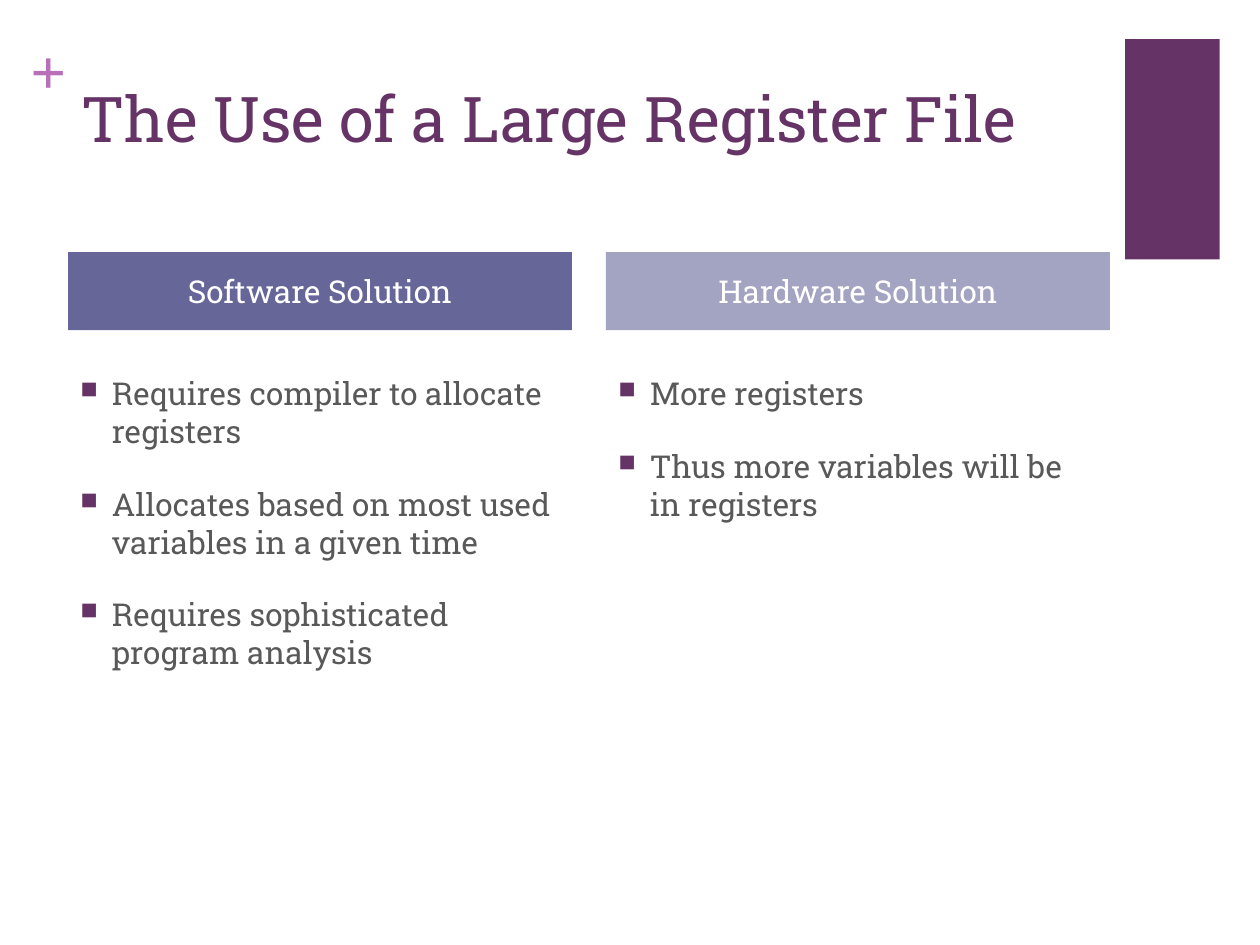
import pptx
import pptx.util
import pptx.dml.color
import pptx.enum.shapes
import pptx.enum.text
from dataclasses import dataclass
from lxml import etree

Inches = pptx.util.Inches
Pt = pptx.util.Pt
Align = pptx.enum.text.PP_ALIGN
Anchor = pptx.enum.text.MSO_ANCHOR


@dataclass(frozen=True)
class Theme:
    plum: str = "663366"
    orchid: str = "B870B8"
    indigo: str = "666699"
    lavender: str = "A3A3C2"
    grey: str = "595959"
    white: str = "FFFFFF"
    font: str = "Roboto Slab"
    plus_font: str = "Times New Roman"
    title_size: int = 36
    text_size: int = 18


THEME = Theme()


def color(value):
    return pptx.dml.color.RGBColor.from_string(value)


def style_text(para, size, fill, font=THEME.font, bold=False):
    for span in para.runs:
        span.font.size = Pt(size)
        span.font.name = font
        span.font.bold = bold
        span.font.color.rgb = color(fill)


def add_text(page, box, text, inset=True):
    frame = page.shapes.add_textbox(*map(Inches, box)).text_frame
    frame.word_wrap = True
    if not inset:
        frame.margin_left = frame.margin_right = 0
        frame.margin_top = frame.margin_bottom = 0
    frame.text = text
    return frame


def add_block(page, box, fill):
    block = page.shapes.add_shape(
        pptx.enum.shapes.MSO_SHAPE.RECTANGLE, *map(Inches, box))
    block.shadow.inherit = False
    block.fill.solid()
    block.fill.fore_color.rgb = color(fill)
    block.line.fill.background()
    return block


def add_bullet(para):
    props = para._p.get_or_add_pPr()
    props.set("marL", str(Inches(0.25)))
    props.set("indent", str(-Inches(0.25)))
    tag = "{http://schemas.openxmlformats.org/drawingml/2006/main}"
    bullet_color = etree.SubElement(props, tag + "buClr")
    etree.SubElement(bullet_color, tag + "srgbClr", val=THEME.plum)
    etree.SubElement(props, tag + "buSzPct", val="75000")
    etree.SubElement(props, tag + "buChar", char="■")


def add_decoration(page):
    add_block(page, (8.93, 0.31, 0.75, 1.75), THEME.plum)
    plus = add_text(page, (0.24, 0.25, 0.29, 0.61), "+", inset=False)
    style_text(plus.paragraphs[0], THEME.title_size, THEME.orchid,
               THEME.plus_font, bold=True)


def add_title(page, box, text):
    frame = add_text(page, box, text)
    style_text(frame.paragraphs[0], THEME.title_size, THEME.plum)


def add_column(page, box, heading, fill, points):
    left, top, width, height = box
    header_height, gap = 0.62, 0.3

    # Heading band
    frame = add_block(page, (left, top, width, header_height), fill).text_frame
    frame.word_wrap = True
    frame.margin_top = frame.margin_bottom = 0
    frame.vertical_anchor = Anchor.MIDDLE
    frame.text = heading
    frame.paragraphs[0].alignment = Align.CENTER
    style_text(frame.paragraphs[0], THEME.text_size, THEME.white)

    # Bulleted points
    offset = header_height + gap
    frame = add_text(page, (left, top + offset, width, height - offset),
                     "\n".join(points))
    for para in frame.paragraphs:
        para.space_before = Pt(20)
        add_bullet(para)
        style_text(para, THEME.text_size, THEME.grey)


def main():
    deck = pptx.Presentation()
    deck.slide_width, deck.slide_height = Inches(10), Inches(7.5)
    page = deck.slides.add_slide(deck.slide_layouts[6])

    add_decoration(page)
    add_title(page, (0.55, 0.58, 8.26, 1.17),
              "The Use of a Large Register File")

    columns = [
        ("Software Solution", THEME.indigo,
         ["Requires compiler to allocate registers",
          "Allocates based on most used variables in a given time",
          "Requires sophisticated program analysis"]),
        ("Hardware Solution", THEME.lavender,
         ["More registers",
          "Thus more variables will be in registers"]),
    ]
    width, gap = 4, 0.27
    for index, column in enumerate(columns):
        left = 0.54 + index * (width + gap)
        add_column(page, (left, 2, width, 4.7), *column)

    deck.save("out.pptx")


if __name__ == "__main__":
    main()
